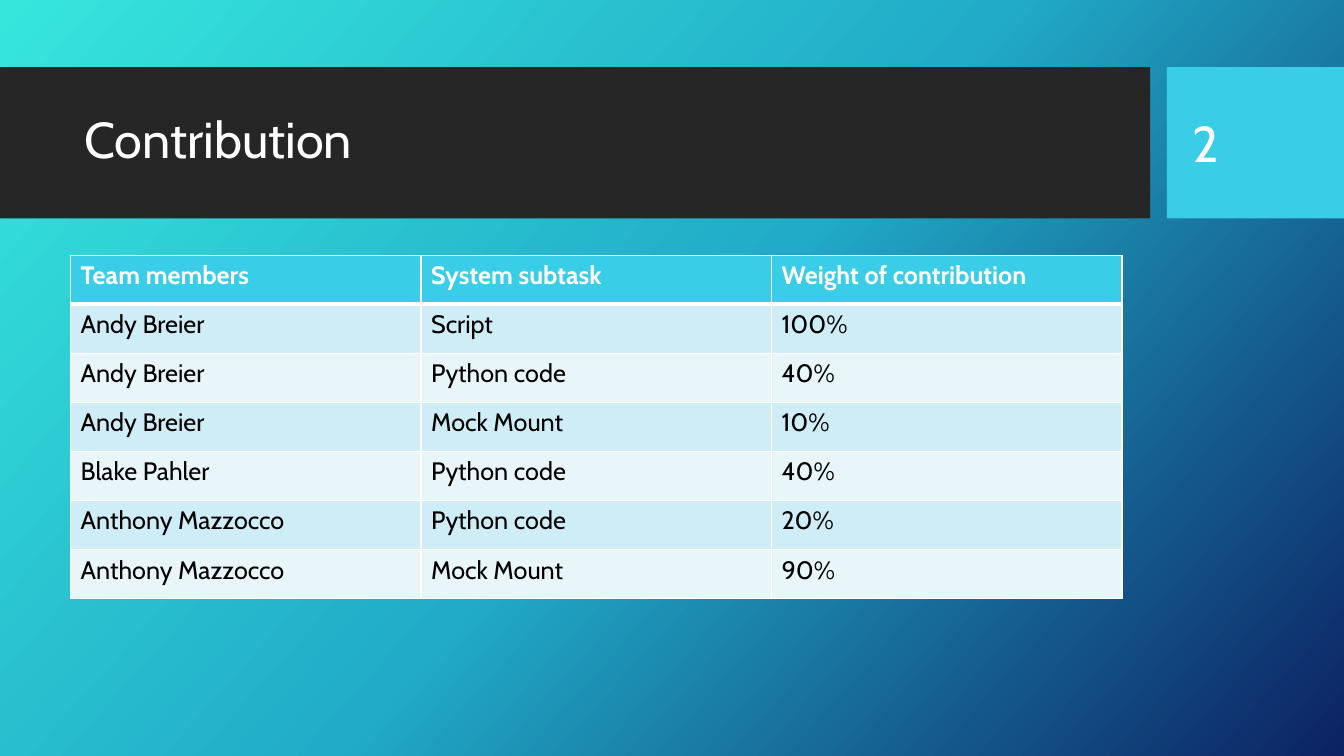
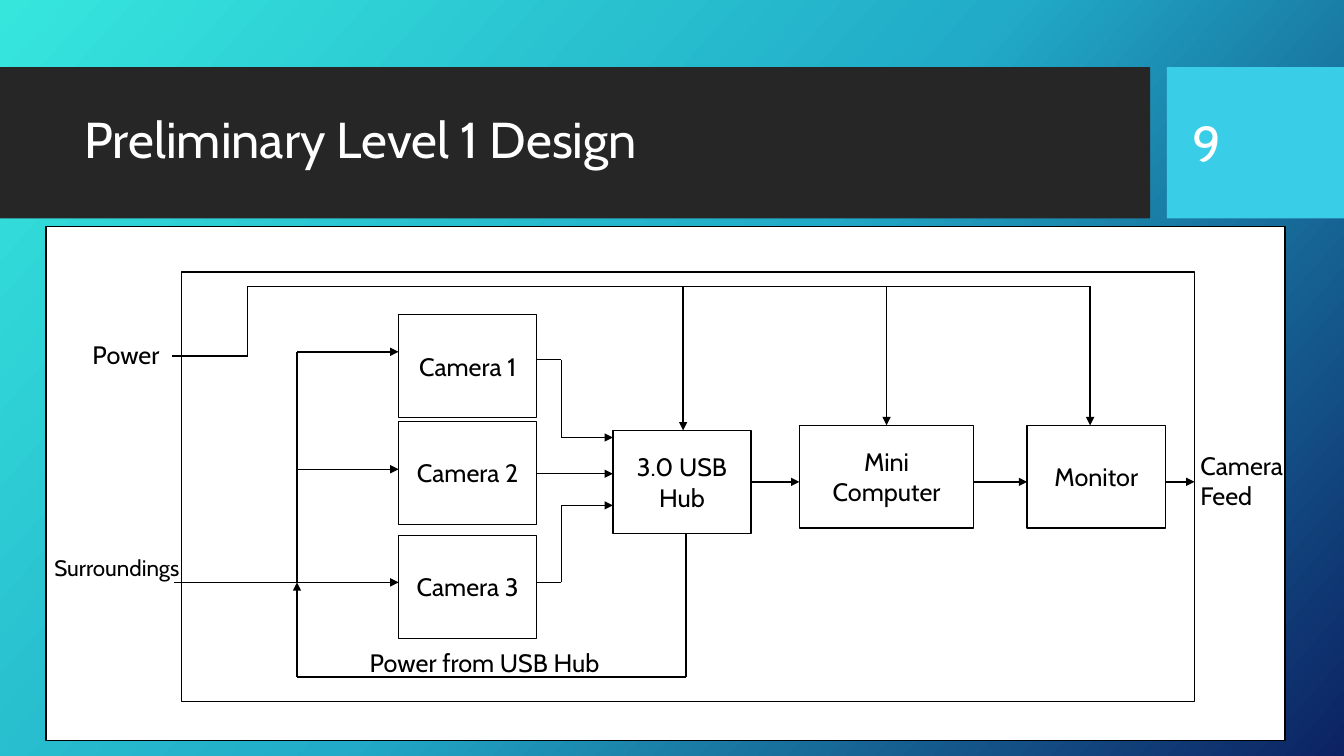
"""Build the contribution and level 1 design slides."""
from copy import deepcopy
from itertools import pairwise

from lxml.etree import SubElement
from pptx import Presentation
from pptx.dml.color import RGBColor
from pptx.enum.shapes import MSO_CONNECTOR, MSO_SHAPE
from pptx.enum.text import MSO_ANCHOR, PP_ALIGN
from pptx.oxml.ns import qn
from pptx.util import Pt

COLORS = {
    "aqua": "36E6DD", "teal": "21ABC8", "navy": "0C2263",
    "band": "262626", "accent": "39CDE7",
    "odd_row": "CEEDF6", "even_row": "E8F6FA",
    "white": "FFFFFF", "black": "000000",
}
RGB = {name: RGBColor.from_string(value) for name, value in COLORS.items()}
FONT = "Cabin"


def add_box(slide, bounds, fill=None, line=None):
    shape = slide.shapes.add_shape(MSO_SHAPE.RECTANGLE, *map(Pt, bounds))
    shape.shadow.inherit = False
    if fill:
        shape.fill.solid()
        shape.fill.fore_color.rgb = RGB[fill]
    else:
        shape.fill.background()
    if line:
        shape.line.color.rgb = RGB[line]
        shape.line.width = Pt(1)
    else:
        shape.line.fill.background()
    return shape


def write(text_frame, text, size=18, color="black", bold=False, align=PP_ALIGN.LEFT):
    text_frame.text = text
    text_frame.word_wrap = True
    paragraph = text_frame.paragraphs[0]
    paragraph.alignment = align
    font = paragraph.runs[0].font
    font.name, font.size, font.bold = FONT, Pt(size), bold
    font.color.rgb = RGB[color]
    return paragraph


presentation = Presentation()
presentation.slide_width, presentation.slide_height = Pt(960), Pt(540)

master = presentation.slide_master
background = master.background.fill
background.gradient()
background.gradient_angle = 318
stop_list = master.element.xpath(".//p:bg//a:gsLst")[0]
stop_list.append(deepcopy(stop_list[-1]))
for stop, name, position in zip(background.gradient_stops, ("aqua", "teal", "navy"), (0, 0.5, 1)):
    stop.color.rgb = RGB[name]
    stop.position = position

slides = []
for title, number in (("Contribution", "2"), ("Preliminary Level 1 Design", "9")):
    slide = presentation.slides.add_slide(presentation.slide_layouts[6])
    add_box(slide, (0, 48, 821.5, 108), "band")
    add_box(slide, (833.5, 48, 126.5, 108), "accent")
    for text, left, width, spacing in ((title, 53.3, 756.7, 0.9), (number, 844.5, 90.7, 1)):
        text_box = slide.shapes.add_textbox(Pt(left), Pt(59), Pt(width), Pt(85))
        text_box.text_frame.vertical_anchor = MSO_ANCHOR.MIDDLE
        paragraph = write(text_box.text_frame, text, 36, "white")
        paragraph.line_spacing = spacing
    slides.append(slide)
contribution_slide, design_slide = slides

CONTRIBUTIONS = (
    ("Team members", "System subtask", "Weight of contribution"),
    ("Andy Breier", "Script", "100%"),
    ("Andy Breier", "Python code", "40%"),
    ("Andy Breier", "Mock Mount", "10%"),
    ("Blake Pahler", "Python code", "40%"),
    ("Anthony Mazzocco", "Python code", "20%"),
    ("Anthony Mazzocco", "Mock Mount", "90%"),
)
THICK_BORDERS = {(0, "B"), (1, "T")}
table = contribution_slide.shapes.add_table(
    len(CONTRIBUTIONS), 3, Pt(50.4), Pt(182.2), Pt(751), Pt(245.5)
).table
for row_index, values in enumerate(CONTRIBUTIONS):
    header = row_index == 0
    fill = "accent" if header else ("even_row", "odd_row")[row_index % 2]
    for column_index, value in enumerate(values):
        cell = table.cell(row_index, column_index)
        write(cell.text_frame, value, color="white" if header else "black", bold=header)
        properties = cell._tc.get_or_add_tcPr()
        for side in "LRTB":
            width = Pt(3 if (row_index, side) in THICK_BORDERS else 1)
            border = SubElement(properties, qn(f"a:ln{side}"), w=str(width))
            SubElement(SubElement(border, qn("a:solidFill")), qn("a:srgbClr"), val=COLORS["white"])
        cell.fill.solid()
        cell.fill.fore_color.rgb = RGB[fill]

add_box(design_slide, (33, 162, 885, 367), "white", "black")
add_box(design_slide, (129.6, 194.4, 723.6, 306.7), line="black")

BOX_WIDTH, BOX_HEIGHT = 98.7, 73.5
CAMERA_LEFT, CAMERA_RIGHT = 284.7, 383.4
HUB_LEFT, HUB_TOP = 437.8, 307.4
COMPUTER_LEFT, COMPUTER_WIDTH = 571, 124.6
MONITOR_LEFT, DEVICE_TOP = 733.7, 303.8
RAIL_Y, SPINE_X, TURN_X = 204.5, 212.2, 401
SURROUNDINGS_Y, RETURN_Y, OUTPUT_Y = 416, 483.5, 344.2
POWER_Y, POWER_X, HUB_X, COMPUTER_X, MONITOR_X = 254.4, 177, 488, 633.3, 778.7

routes = (
    ((123, POWER_Y), (POWER_X, POWER_Y), (POWER_X, RAIL_Y), (MONITOR_X, RAIL_Y), (MONITOR_X, DEVICE_TOP)),
    ((HUB_X, RAIL_Y), (HUB_X, HUB_TOP)),
    ((COMPUTER_X, RAIL_Y), (COMPUTER_X, DEVICE_TOP)),
    ((124.6, SURROUNDINGS_Y), (CAMERA_LEFT, SURROUNDINGS_Y)),
    ((SPINE_X, SURROUNDINGS_Y), (SPINE_X, 251.3), (CAMERA_LEFT, 251.3)),
    ((SPINE_X, 335.2), (CAMERA_LEFT, 335.2)),
    ((490, HUB_TOP + BOX_HEIGHT), (490, RETURN_Y), (SPINE_X, RETURN_Y), (SPINE_X, SURROUNDINGS_Y)),
    ((CAMERA_RIGHT, 257), (TURN_X, 257), (TURN_X, 312.5), (HUB_LEFT, 312.5)),
    ((CAMERA_RIGHT, 338.4), (HUB_LEFT, 338.4)),
    ((CAMERA_RIGHT, SURROUNDINGS_Y), (TURN_X, SURROUNDINGS_Y), (TURN_X, 361), (HUB_LEFT, 361)),
    ((HUB_LEFT + BOX_WIDTH, OUTPUT_Y), (COMPUTER_LEFT, OUTPUT_Y)),
    ((COMPUTER_LEFT + COMPUTER_WIDTH, OUTPUT_Y), (MONITOR_LEFT, OUTPUT_Y)),
    ((MONITOR_LEFT + BOX_WIDTH, OUTPUT_Y), (853.2, OUTPUT_Y)),
)
for route in routes:
    for start, end in pairwise(route):
        connector = design_slide.shapes.add_connector(MSO_CONNECTOR.STRAIGHT, *map(Pt, start + end))
        connector.line.color.rgb = RGB["black"]
        connector.line.width = Pt(1)
        shape_properties = connector.element.spPr
        if end == route[-1]:
            SubElement(shape_properties.find(qn("a:ln")), qn("a:tailEnd"), type="triangle")
        SubElement(shape_properties, qn("a:effectLst"))

blocks = (
    ("Camera 1", CAMERA_LEFT, 224.8, BOX_WIDTH),
    ("Camera 2", CAMERA_LEFT, 301, BOX_WIDTH),
    ("Camera 3", CAMERA_LEFT, 382.4, BOX_WIDTH),
    ("3.0 USB Hub", HUB_LEFT, HUB_TOP, BOX_WIDTH),
    ("Mini Computer", COMPUTER_LEFT, DEVICE_TOP, COMPUTER_WIDTH),
    ("Monitor", MONITOR_LEFT, DEVICE_TOP, BOX_WIDTH),
)
for text, left, top, width in blocks:
    block = add_box(design_slide, (left, top, width, BOX_HEIGHT), "white", "black")
    block.text_frame.vertical_anchor = MSO_ANCHOR.MIDDLE
    write(block.text_frame, text, align=PP_ALIGN.CENTER)

labels = (
    ("Power", 59, 239, 90.7, 26, 18),
    ("Surroundings", 31.7, 392.4, 145.4, 24, 16),
    ("Camera Feed", 850.3, 318.2, 78.5, 45.4, 18),
    ("Power from USB Hub", 257, 458.6, 208, 26, 18),
)
for text, left, top, width, height, size in labels:
    label = design_slide.shapes.add_textbox(Pt(left), Pt(top), Pt(width), Pt(height))
    write(label.text_frame, text, size)

presentation.save("out.pptx")
